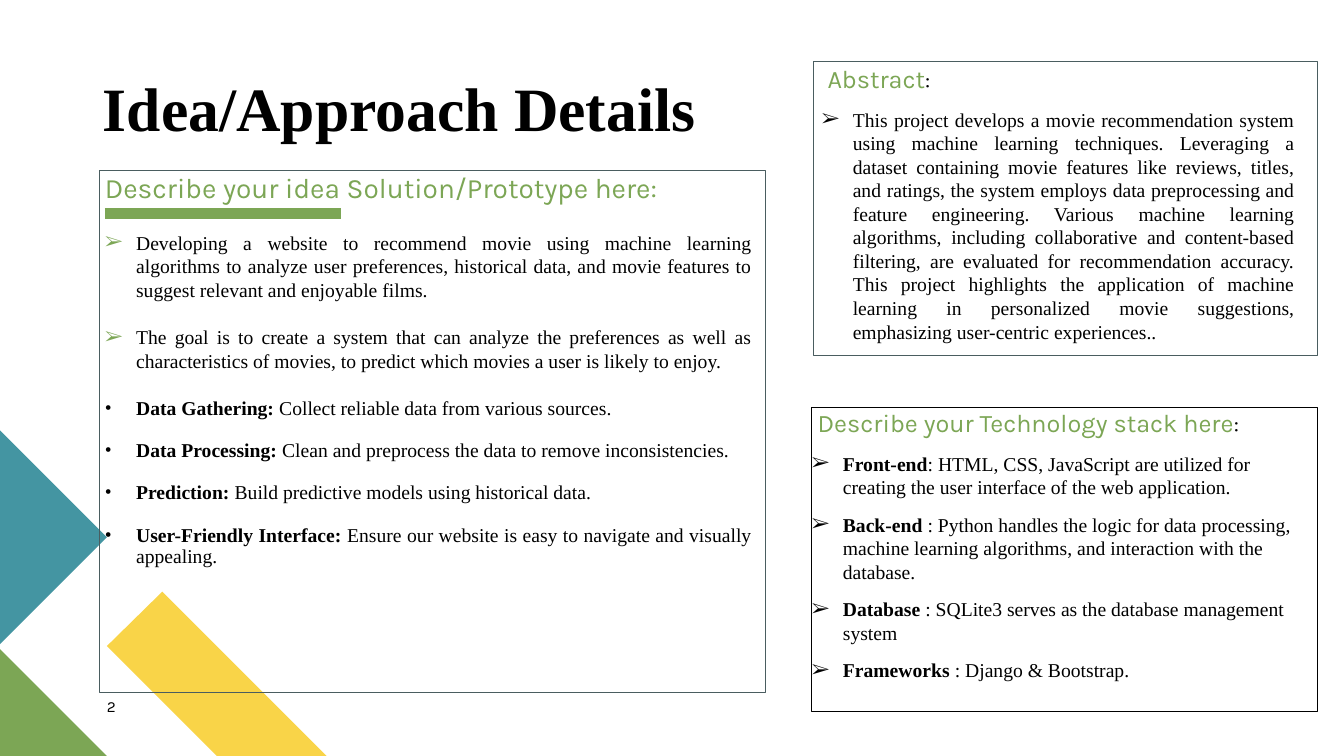
from dataclasses import dataclass
from typing import Optional

from lxml.etree import SubElement
from pptx import Presentation
from pptx.dml.color import RGBColor
from pptx.enum.shapes import MSO_CONNECTOR, MSO_SHAPE
from pptx.enum.text import MSO_ANCHOR, PP_ALIGN
from pptx.oxml.ns import qn
from pptx.util import Inches, Pt


@dataclass(frozen=True)
class Theme:
    green: str = "7CA655"
    teal: str = "4495A2"
    yellow: str = "F9D448"
    slate: str = "4A5D60"
    black: str = "000000"
    serif: str = "Times New Roman"
    sans: str = "Karla"
    title: float = 44
    lead: float = 20
    head: float = 18
    colon: float = 16
    body: float = 14
    number: float = 11


THEME = Theme()


@dataclass(frozen=True)
class Run:
    text: str
    size: float = THEME.body
    font: str = THEME.serif
    color: str = THEME.black
    bold: bool = False


@dataclass(frozen=True)
class Para:
    runs: tuple[Run, ...]
    before: float = 0
    bullet: str = ""
    tint: str = THEME.black
    justify: bool = False
    spacing: Optional[float] = None


@dataclass(frozen=True)
class Box:
    left: float
    top: float
    width: float
    height: float


@dataclass(frozen=True)
class Patch:
    color: str
    points: tuple[tuple[float, float], ...]


@dataclass(frozen=True)
class Frame:
    box: Box
    color: str
    weight: float


@dataclass(frozen=True)
class Block:
    box: Box
    paras: tuple[Para, ...]
    inset: tuple[float, float] = (0, 0)
    anchor: MSO_ANCHOR = MSO_ANCHOR.TOP


def heading(text: str, size: float = THEME.head, colon: bool = True) -> Para:
    runs = (Run(text, size, THEME.sans, THEME.green),)
    if colon:
        runs += (Run(":", THEME.colon, THEME.sans),)
    return Para(runs)


def goal(text: str, before: float, tint: str = THEME.green) -> Para:
    return Para((Run(text),), before, "➢", tint, True)


def step(label: str, text: str, before: float = 15) -> Para:
    runs = (Run(label, bold=True), Run(text))
    return Para(runs, before, "•", justify=True, spacing=0.9)


def tool(label: str, text: str) -> Para:
    return Para((Run(label, bold=True), Run(text)), 10, "➢")


PATCHES = (
    Patch(THEME.yellow, ((3.24, 7.5), (2.15, 7.5), (1.06, 6.41), (1.61, 5.87))),
    Patch(THEME.green, ((1.06, 7.5), (0, 7.5), (0, 6.44))),
    Patch(THEME.teal, ((0, 4.27), (1.06, 5.33), (0, 6.39))),
)

FRAMES = (
    Frame(Box(8.05, 4.04, 5.02, 3.02), THEME.black, 0.75),
    Frame(Box(0.99, 1.69, 6.6, 5.18), THEME.slate, 0.5),
    Frame(Box(8.07, 0.61, 5, 2.92), THEME.slate, 0.5),
)

BLOCKS = (
    Block(Box(1.02, 0.77, 6.05, 0.67), (
        Para((Run("Idea/Approach Details", THEME.title, bold=True),), spacing=0.9),
    ), anchor=MSO_ANCHOR.BOTTOM),
    Block(Box(1.06, 6.92, 0.57, 0.27), (
        Para((Run("2", THEME.number, THEME.sans),)),
    )),
    Block(Box(8.05, 4.04, 5.02, 3.02), (
        heading(" Describe your Technology stack here"),
        tool("Front-end", ": HTML, CSS, JavaScript are utilized for creating the "
             "user interface of the web application."),
        tool("Back-end ", ": Python handles the logic for data processing, machine "
             "learning algorithms, and interaction with the database."),
        tool("Database", " : SQLite3 serves as the database management system"),
        tool("Frameworks", " : Django & Bootstrap."),
    )),
    Block(Box(1.04, 1.69, 6.42, 5.04), (
        heading("Describe your idea Solution/Prototype here:", THEME.lead, False),
        goal("Developing a website to recommend movie using machine learning "
             "algorithms to analyze user preferences, historical data, and movie "
             "features to suggest relevant and enjoyable films.", 19),
        goal("The goal is to create a system that can analyze the preferences as "
             "well as characteristics of movies, to predict which movies a user "
             "is likely to enjoy.", 17),
        step("Data Gathering: ", "Collect reliable data from various sources.", 19),
        step("Data Processing: ",
             "Clean and preprocess the data to remove inconsistencies."),
        step("Prediction: ", "Build predictive models using historical data."),
        step("User-Friendly Interface: ",
             "Ensure our website is easy to navigate and visually appealing."),
    )),
    Block(Box(8.05, 0.58, 4.89, 3.14), (
        heading(" Abstract"),
        goal("This project develops a movie recommendation system using machine "
             "learning techniques. Leveraging a dataset containing movie features "
             "like reviews, titles, and ratings, the system employs data "
             "preprocessing and feature engineering. Various machine learning "
             "algorithms, including collaborative and content-based filtering, are "
             "evaluated for recommendation accuracy. This project highlights the "
             "application of machine learning in personalized movie suggestions, "
             "emphasizing user-centric experiences..", 10, THEME.black),
    ), inset=(0.1, 0.05)),
)


def place(box: Box) -> tuple:
    return tuple(Inches(v) for v in (box.left, box.top, box.width, box.height))


def add_patch(slide, patch: Patch) -> None:
    points = [(Inches(x), Inches(y)) for x, y in patch.points]
    pen = slide.shapes.build_freeform(*points[0])
    pen.add_line_segments(points[1:], close=True)
    shape = pen.convert_to_shape()
    shape.shadow.inherit = False
    shape.fill.solid()
    shape.fill.fore_color.rgb = RGBColor.from_string(patch.color)
    shape.line.fill.background()


def add_frame(slide, frame: Frame) -> None:
    shape = slide.shapes.add_shape(MSO_SHAPE.RECTANGLE, *place(frame.box))
    shape.shadow.inherit = False
    shape.fill.background()
    shape.line.color.rgb = RGBColor.from_string(frame.color)
    shape.line.width = Pt(frame.weight)


def add_rule(slide) -> None:
    y = Inches(2.12)
    rule = slide.shapes.add_connector(
        MSO_CONNECTOR.STRAIGHT, Inches(1.04), y, Inches(3.38), y)
    rule.line.color.rgb = RGBColor.from_string(THEME.green)
    rule.line.width = Pt(8)
    SubElement(rule._element.spPr, qn("a:effectLst"))


def add_bullet(para, mark: str, tint: str) -> None:
    props = para._p.get_or_add_pPr()
    props.set("marL", str(Inches(0.31)))
    props.set("indent", str(Inches(-0.31)))
    color = SubElement(props, qn("a:buClr"))
    SubElement(color, qn("a:srgbClr"), val=tint)
    SubElement(props, qn("a:buFont"), typeface=THEME.serif)
    SubElement(props, qn("a:buChar"), char=mark)


def fill_para(para, data: Para) -> None:
    para.space_before = Pt(data.before)
    para.alignment = PP_ALIGN.JUSTIFY if data.justify else PP_ALIGN.LEFT
    if data.spacing:
        para.line_spacing = data.spacing
    if data.bullet:
        add_bullet(para, data.bullet, data.tint)
    for item in data.runs:
        run = para.add_run()
        run.text = item.text
        run.font.size = Pt(item.size)
        run.font.name = item.font
        run.font.bold = item.bold
        run.font.color.rgb = RGBColor.from_string(item.color)


def add_block(slide, block: Block) -> None:
    frame = slide.shapes.add_textbox(*place(block.box)).text_frame
    frame.word_wrap = True
    frame.vertical_anchor = block.anchor
    frame.margin_left = frame.margin_right = Inches(block.inset[0])
    frame.margin_top = frame.margin_bottom = Inches(block.inset[1])
    for i, data in enumerate(block.paras):
        fill_para(frame.add_paragraph() if i else frame.paragraphs[0], data)


def main() -> None:
    deck = Presentation()
    deck.slide_width, deck.slide_height = Inches(13.33), Inches(7.5)
    slide = deck.slides.add_slide(deck.slide_layouts[6])
    for patch in PATCHES:
        add_patch(slide, patch)
    add_rule(slide)
    for frame in FRAMES:
        add_frame(slide, frame)
    for block in BLOCKS:
        add_block(slide, block)
    deck.save("out.pptx")


if __name__ == "__main__":
    main()
